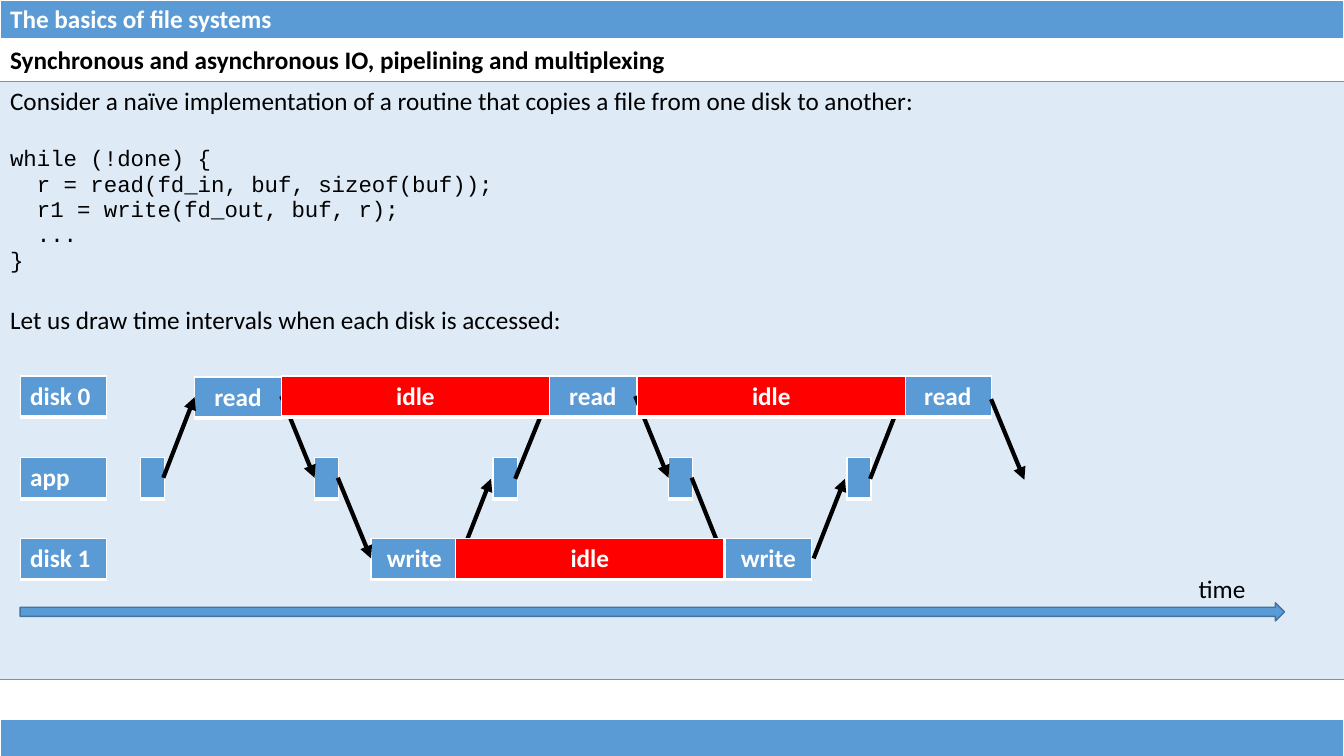
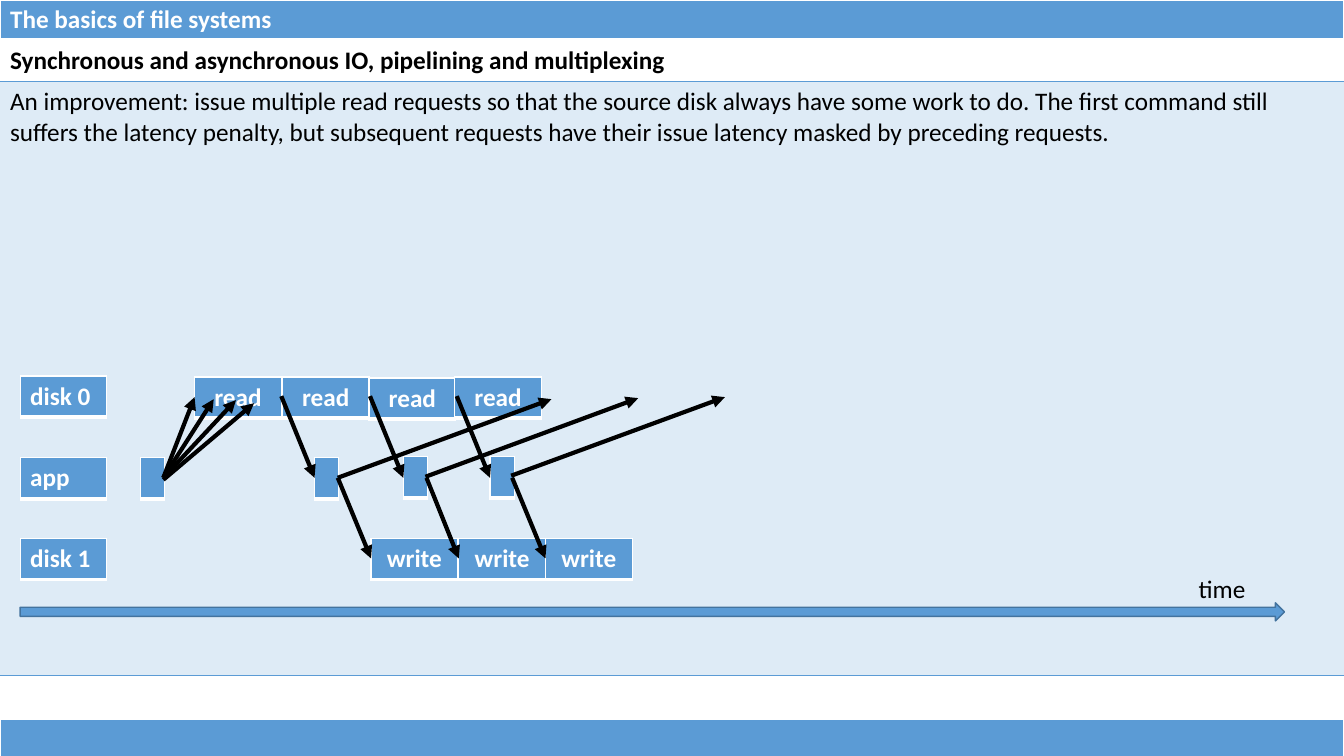
from lxml import etree
from pptx import Presentation
from pptx import util as u
from pptx.dml import color
from pptx.enum import shapes, text
from pptx.oxml import ns

COLORS = {"blue": "5B9BD5", "idle": "FF0000", "edge": "43739E", "white": "FFFFFF", "black": "000000"}
RGB = {name: color.RGBColor.from_string(value) for name, value in COLORS.items()}
PLAIN = {"name": "Calibri", "size": u.Pt(18), "bold": False}
STRONG = {**PLAIN, "bold": True}
CODE = {**PLAIN, "name": "Courier New", "size": u.Pt(16)}
WIDTH, BAND_H, BOX_H, BOX_W, APP_W, IDLE_W = 13.33, 0.4, 0.41, 0.86, 0.23, 2.66
ROWS = {"disk 0": 3.73, "app": 4.54, "disk 1": 5.34}
DISK0, APP, DISK1 = 3.94, 4.74, 5.54
BLANK_LINE = u.Pt(22)
HEADING = "The basics of file systems"

slides = [
    {
        "body_bottom": 6.74,
        "body": [
            ("Consider a naïve implementation of a routine that copies a file from one disk to another:", PLAIN, 0),
            ("while (!done) {", CODE, BLANK_LINE),
            ("  r = read(fd_in, buf, sizeof(buf));", CODE, 0),
            ("  r1 = write(fd_out, buf, r);", CODE, 0),
            ("  ...\n}", CODE, 0),
            ("Let us draw time intervals when each disk is accessed:", PLAIN, BLANK_LINE),
        ],
        "reads": [(1.93, 3.74), (5.45, 3.73), (8.97, 3.73)],
        "apps": [(1.39, 4.54), (3.12, 4.54), (4.89, 4.54), (6.63, 4.54), (8.4, 4.54)],
        "writes": [3.68, 7.19],
        "idles": [(2.79, "disk 0"), (4.52, "disk 1"), (6.32, "disk 0")],
        "arrows": [
            (1.62, APP, 1.93, DISK0), (2.79, 3.93, 3.12, APP),
            (3.35, APP, 3.68, DISK1), (4.56, DISK1, 4.87, 4.75),
            (5.11, 4.75, 5.43, 3.96), (6.3, 3.93, 6.63, APP),
            (6.86, APP, 7.18, DISK1), (8.07, DISK1, 8.38, 4.75),
            (8.63, 4.75, 8.94, 3.96), (9.83, 3.96, 10.16, 4.76),
        ],
    },
    {
        "body_bottom": 6.7,
        "body": [
            ("An improvement: issue multiple read requests so that the source disk always have some work to do. "
             "The first command still suffers the latency penalty, but subsequent requests have their issue "
             "latency masked by preceding requests.", PLAIN, 0),
        ],
        "reads": [(1.93, 3.74), (2.8, 3.74), (3.66, 3.75), (4.51, 3.74)],
        "apps": [(1.39, 4.54), (3.12, 4.54), (4, 4.53), (4.86, 4.53)],
        "writes": [3.68, 4.55, 5.41],
        "idles": [],
        "arrows": [
            (1.62, APP, 1.93, DISK0), (1.62, APP, 2.12, 3.96),
            (1.62, APP, 2.34, 3.97), (1.62, 4.76, 2.52, 4),
            (2.79, 3.93, 3.12, APP), (3.67, 3.93, 4, APP), (4.53, 3.93, 4.86, APP),
            (3.35, APP, 3.68, DISK1), (4.23, APP, 4.55, DISK1), (5.08, APP, 5.41, DISK1),
            (3.35, APP, 5.47, 3.96), (4.22, 4.73, 6.33, 3.95), (5.07, 4.72, 7.19, 3.94),
        ],
    },
]


def write(paragraph, words, style, ink):
    for number, line in enumerate(words.split("\n")):
        if number:
            paragraph.add_line_break()
        run = paragraph.add_run()
        run.text = line
        for attribute, value in style.items():
            setattr(run.font, attribute, value)
        run.font.color.rgb = RGB[ink]


def add_grid(slide, left, top, width, heights, fills, borders):
    frame = slide.shapes.add_table(len(heights), 1, *map(u.Inches, (left, top, width, sum(heights))))
    grid = frame.table
    grid.first_row = grid.horz_banding = False
    grid.columns[0].width = u.Inches(width)
    for row, height, fill in zip(grid.rows, heights, fills):
        row.height = u.Inches(height)
        cell = row.cells[0]
        if fill:
            cell.fill.solid()
            cell.fill.fore_color.rgb = RGB[fill]
        else:
            cell.fill.background()
        properties = cell.fill._xPr
        for position, (side, (ink, points)) in enumerate(borders.items()):
            line = etree.Element(ns.qn(f"a:ln{side}"), w=str(u.Pt(points)))
            if ink:
                solid = etree.SubElement(line, ns.qn("a:solidFill"))
                etree.SubElement(solid, ns.qn("a:srgbClr"), val=COLORS[ink])
            else:
                etree.SubElement(line, ns.qn("a:noFill"))
            properties.insert(position, line)
    return [row.cells[0] for row in grid.rows]


BOX_BORDERS = {"L": ("white", 1), "R": ("white", 1), "T": ("white", 1), "B": ("white", 3)}
BODY_BORDERS = {"L": (None, 0), "R": (None, 0), "T": ("blue", 1), "B": ("blue", 1)}

deck = Presentation()
deck.slide_width, deck.slide_height = u.Inches(WIDTH), u.Inches(7.5)

for content in slides:
    slide = deck.slides.add_slide(deck.slide_layouts[6])

    bands = [(0, 0, WIDTH, BAND_H, HEADING, "blue"), (0, 7.14, WIDTH, BAND_H, "", "blue")]
    boxes = [(0.2, top, BOX_W, BOX_H, label, "blue") for label, top in ROWS.items()]
    boxes += [(left, top, BOX_W, BOX_H, "read", "blue") for left, top in content["reads"]]
    boxes += [(left, top, APP_W, BOX_H, "", "blue") for left, top in content["apps"]]
    boxes += [(left, ROWS["disk 1"], BOX_W, BOX_H, "write", "blue") for left in content["writes"]]
    idles = [(left, ROWS[disk], IDLE_W, BOX_H, "idle", "idle") for left, disk in content["idles"]]

    body_height = content["body_bottom"] - BAND_H - BOX_H
    topic, body = add_grid(slide, 0, BAND_H, WIDTH, [BOX_H, body_height], [None, "blue"], BODY_BORDERS)
    tint = body.fill._xPr.find(ns.qn("a:solidFill"))[0]
    etree.SubElement(tint, ns.qn("a:alpha"), val="20000")
    write(topic.text_frame.paragraphs[0], "Synchronous and asynchronous IO, pipelining and multiplexing",
          STRONG, "black")
    for number, (words, style, gap) in enumerate(content["body"]):
        paragraph = body.text_frame.add_paragraph() if number else body.text_frame.paragraphs[0]
        paragraph.space_before = u.Pt(0) if not gap else gap
        write(paragraph, words, style, "black")

    for layer, arrows in ((bands + boxes, content["arrows"]), (idles, [])):
        for left, top, width, height, label, fill in layer:
            cell = add_grid(slide, left, top, width, [height], [fill], BOX_BORDERS)[0]
            cell.vertical_anchor = text.MSO_ANCHOR.MIDDLE
            cell.margin_top = cell.margin_bottom = u.Inches(0.02)
            if label:
                caption = cell.text_frame.paragraphs[0]
                if label not in (HEADING, *ROWS):
                    caption.alignment = text.PP_ALIGN.CENTER
                write(caption, label, STRONG, "white")
        for ends in arrows:
            arrow = slide.shapes.add_connector(shapes.MSO_CONNECTOR.STRAIGHT, *map(u.Inches, ends))
            arrow.line.color.rgb = RGB["black"]
            arrow.line.width = u.Pt(3)
            etree.SubElement(arrow.line._get_or_add_ln(), ns.qn("a:tailEnd"), type="triangle")
            etree.SubElement(arrow._element.spPr, ns.qn("a:effectLst"))

    time_axis = slide.shapes.add_shape(shapes.MSO_SHAPE.RIGHT_ARROW, *map(u.Inches, (0.2, 5.98, 12.54, 0.18)))
    time_axis.shadow.inherit = False
    time_axis.fill.solid()
    time_axis.fill.fore_color.rgb = RGB["blue"]
    time_axis.line.color.rgb = RGB["edge"]
    time_axis.line.width = u.Pt(1)
    time_label = slide.shapes.add_textbox(*map(u.Inches, (11.79, 5.64, 0.67, 0.4)))
    time_label.text_frame.word_wrap = False
    time_label.text_frame.auto_size = text.MSO_AUTO_SIZE.SHAPE_TO_FIT_TEXT
    write(time_label.text_frame.paragraphs[0], "time", PLAIN, "black")

deck.save("out.pptx")
